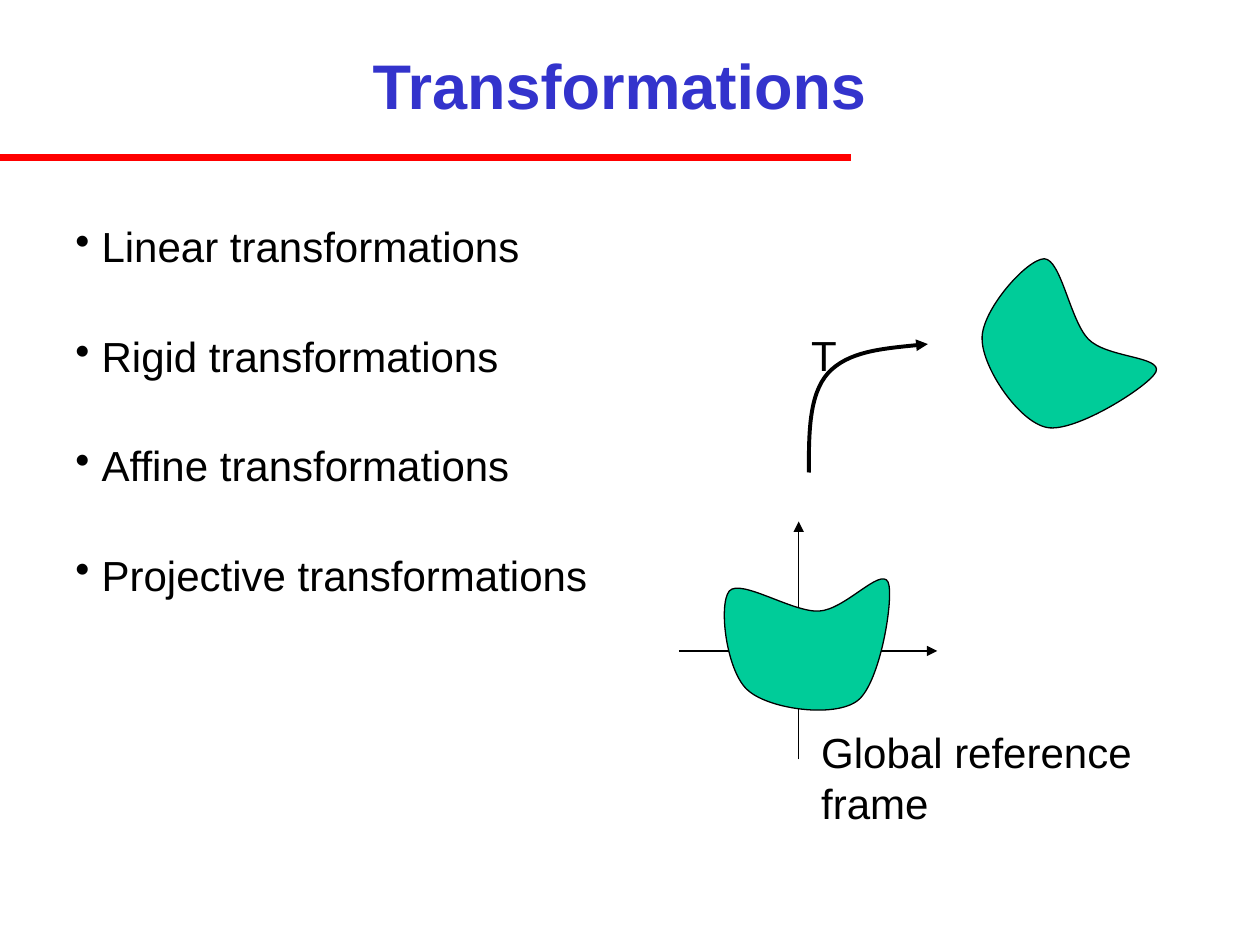
from lxml.etree import SubElement
from pptx import Presentation
from pptx.dml.color import RGBColor
from pptx.enum.shapes import MSO_CONNECTOR as Connector
from pptx.enum.text import MSO_ANCHOR as Anchor, MSO_AUTO_SIZE as AutoSize, PP_ALIGN as Align
from pptx.oxml.ns import qn
from pptx.util import Pt

BLACK, RED, BLUE, GREEN = "000000", "FF0000", "3333CC", "00CC99"
BULLETS = ["Linear transformations", "Rigid transformations",
           "Affine transformations", "Projective transformations"]

# Curves: a start point, then cubic segments, within a box of the given size.
BLOB_SIZE = (100.8, 87.1)
BLOB_START = (17.3, 70.6)
BLOB_SEGMENTS = [
    ((5, 60.5), (0, 21.6), (6.5, 13.7)),
    ((13, 6.5), (42.5, 25.9), (57.6, 25.2)),
    ((72.7, 24.5), (92.9, 0), (97.2, 8.6)),
    ((100.8, 16.6), (92.9, 66.2), (79.9, 76.3)),
    ((67, 86.4), (29.5, 81.4), BLOB_START),
]
ARC_SIZE = (68, 73.4)
ARC_START = (0, 73.4)
ARC_SEGMENTS = [
    ((0, 51.1), (0, 28.8), (11, 16.6)),
    ((22.3, 4.3), (45.4, 2.2), (68, 0)),
]


def color(value):
    return RGBColor.from_string(value)


def style_line(shape, line_color, width, arrow=False):
    shape.line.color.rgb = color(line_color)
    shape.line.width = Pt(width)
    if arrow:
        SubElement(shape.line._get_or_add_ln(), qn("a:tailEnd"), type="triangle")


def add_line(page, start, end, line_color, width, arrow=False):
    line = page.shapes.add_connector(Connector.STRAIGHT, *map(Pt, start + end))
    style_line(line, line_color, width, arrow)
    SubElement(line._element.spPr, qn("a:effectLst"))


def add_curve(page, left, top, size, start, segments, closed):
    """Build a freeform on the anchor points, then bend its edges into cubics."""
    builder = page.shapes.build_freeform(*map(Pt, start))
    builder.add_line_segments([tuple(map(Pt, segment[-1])) for segment in segments], close=closed)
    shape = builder.convert_to_shape()
    shape.left, shape.top, shape.width, shape.height = map(Pt, (left, top, *size))
    outline = next(shape._element.iter(qn("a:path")))
    outline.set("w", str(Pt(size[0])))
    outline.set("h", str(Pt(size[1])))
    for child in list(outline):
        outline.remove(child)

    def add_command(tag, points):
        command = SubElement(outline, qn(tag))
        for x, y in points:
            SubElement(command, qn("a:pt"), x=str(Pt(x)), y=str(Pt(y)))

    add_command("a:moveTo", [start])
    for segment in segments:
        add_command("a:cubicBezTo", segment)
    if closed:
        add_command("a:close", [])
    shape.shadow.inherit = False
    return shape


def add_blob(page, left, top, rotation=0):
    blob = add_curve(page, left, top, BLOB_SIZE, BLOB_START, BLOB_SEGMENTS, True)
    blob.fill.solid()
    blob.fill.fore_color.rgb = color(GREEN)
    style_line(blob, BLACK, 0.75)
    blob.rotation = rotation


def add_text_box(page, left, top, width, height, wrap=True):
    frame = page.shapes.add_textbox(*map(Pt, (left, top, width, height))).text_frame
    frame.word_wrap = wrap
    frame.auto_size = AutoSize.NONE
    return frame


def add_span(para, text, size=24, text_color=BLACK, bold=False):
    span = para.add_run()
    span.text = text
    span.font.name = "Arial"
    span.font.size = Pt(size)
    span.font.bold = bold
    span.font.color.rgb = color(text_color)


def add_heading(page, left, top, width, height):
    add_line(page, (left, top + 84), (left + 486, top + 84), RED, 4)
    frame = add_text_box(page, left, top, width, height)
    frame.vertical_anchor = Anchor.MIDDLE
    para = frame.paragraphs[0]
    para.alignment = Align.CENTER
    add_span(para, "Transformations", 36, BLUE, True)


def add_bullets(page, left, top, width, height):
    frame = add_text_box(page, left, top, width, height)
    for index, text in enumerate(BULLETS):
        para = frame.add_paragraph() if index else frame.paragraphs[0]
        para.line_spacing = 0.9
        para.space_after = Pt(36.6)
        properties = para._p.get_or_add_pPr()
        properties.set("marL", str(Pt(15)))
        properties.set("indent", str(-Pt(15)))
        SubElement(properties, qn("a:buChar"), char="•")
        add_span(para, text)


def add_diagram(page, left, top):
    """Show a shape in the global frame and its image under T."""
    add_line(page, (left, top + 215), (left + 147.6, top + 215), BLACK, 0.75, True)
    add_line(page, (left + 68.4, top + 277), (left + 68.4, top + 141), BLACK, 0.75, True)
    add_blob(page, left + 22.3, top + 167)
    add_blob(page, left + 165, top, 48.5)
    arc = add_curve(page, left + 74.2, top + 39.6, ARC_SIZE, ARC_START, ARC_SEGMENTS, False)
    arc.fill.background()
    style_line(arc, BLACK, 2.25, True)
    transform = add_text_box(page, left + 68.4, top + 28, 25.2, 28.8, False)
    add_span(transform.paragraphs[0], "T")
    caption = add_text_box(page, left + 74.2, top + 254.8, 209.5, 62.4)
    add_span(caption.paragraphs[0], "Global reference frame")


def main():
    deck = Presentation()
    deck.slide_width, deck.slide_height = Pt(720), Pt(540)
    page = deck.slides.add_slide(deck.slide_layouts[6])
    add_heading(page, 0, 6, 708, 84)
    add_bullets(page, 36, 126, 648, 376.5)
    add_diagram(page, 388, 157)
    deck.save("out.pptx")


if __name__ == "__main__":
    main()
